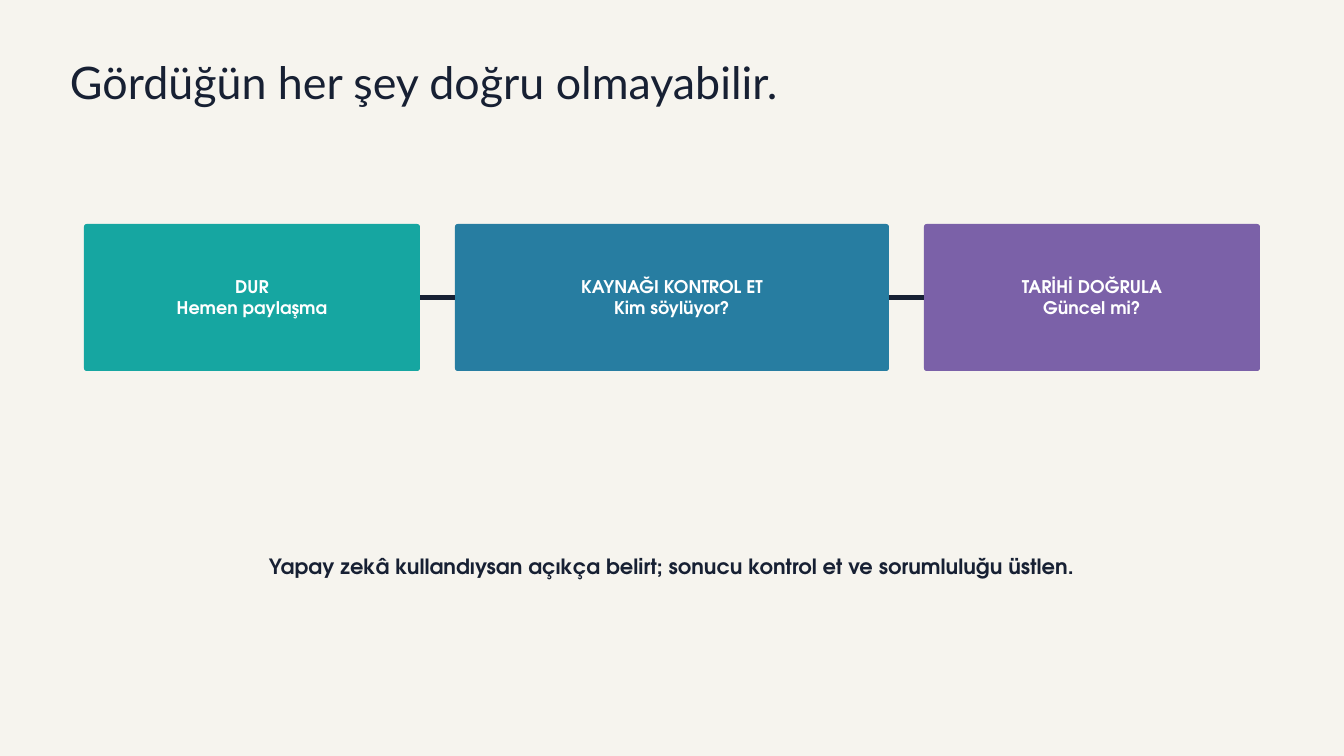
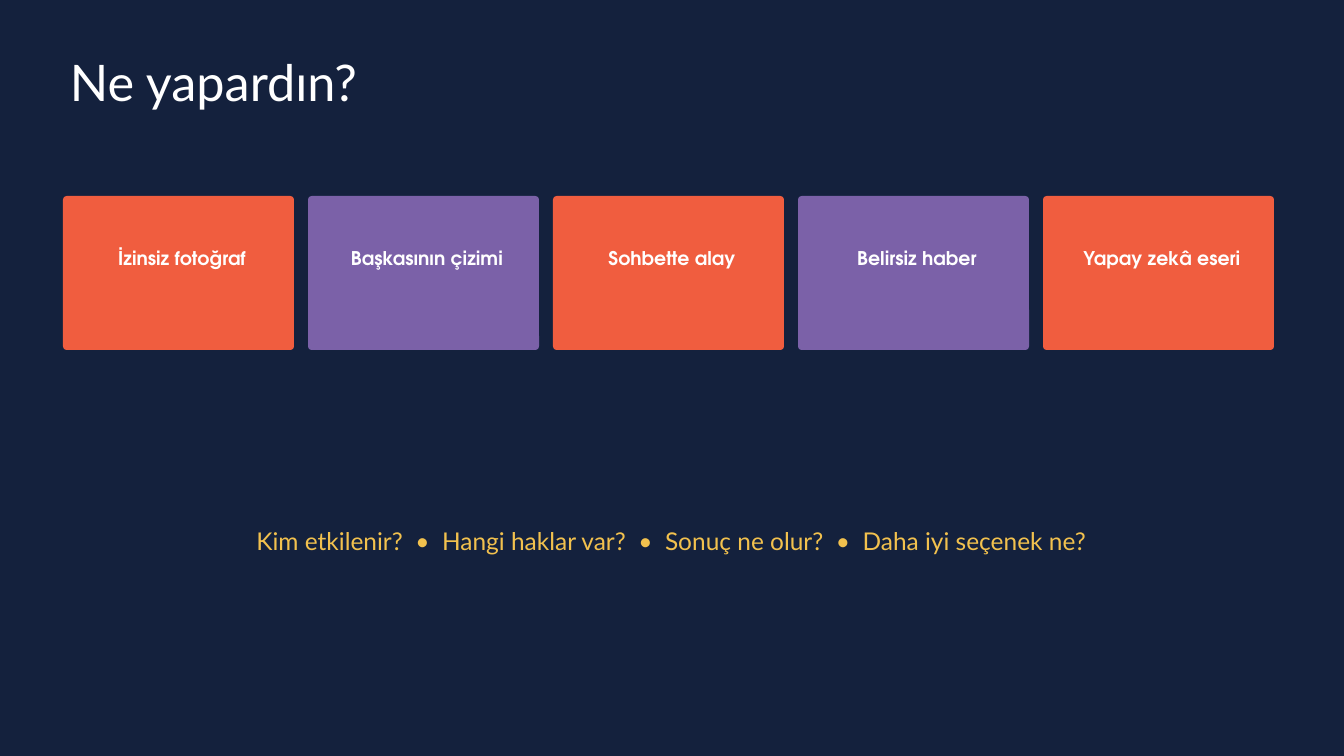
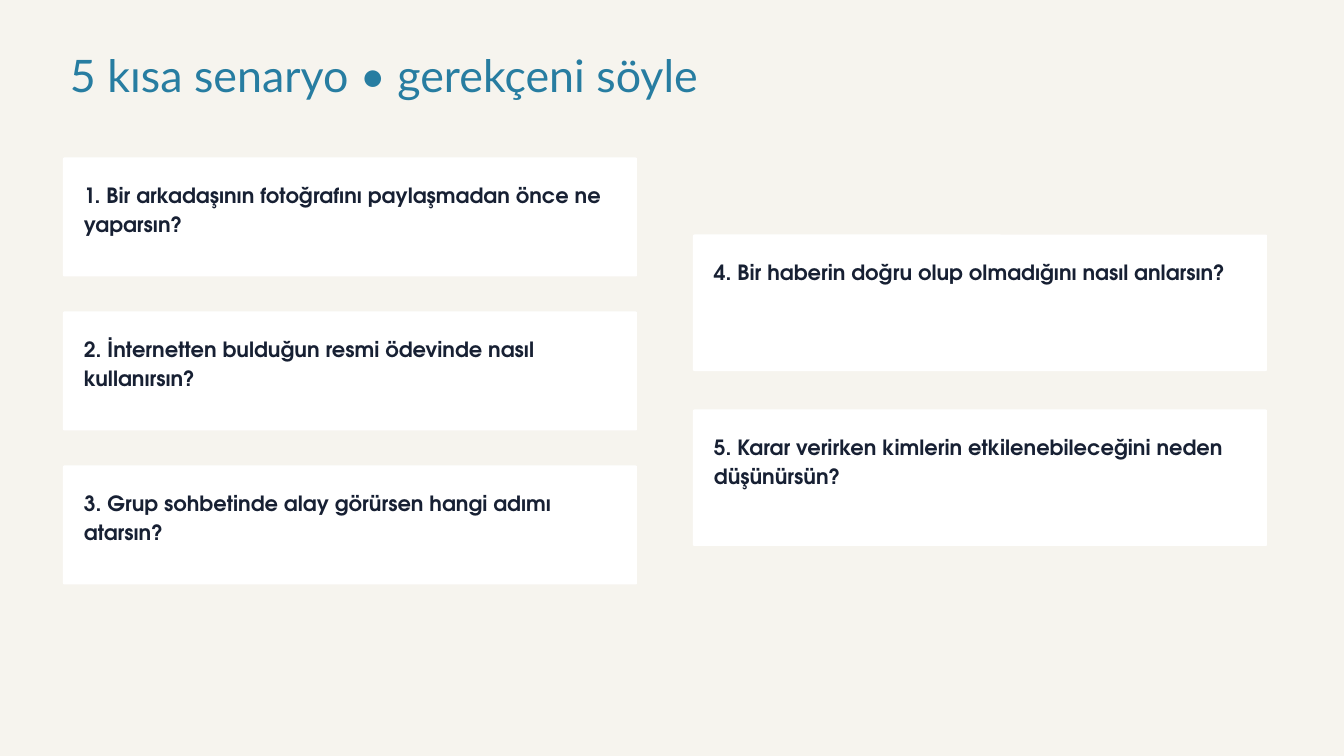
from lxml.etree import SubElement
from pptx import Presentation
from pptx.dml.color import RGBColor
from pptx.enum.shapes import MSO_CONNECTOR, MSO_SHAPE
from pptx.enum.text import MSO_ANCHOR, PP_ALIGN
from pptx.oxml.ns import qn
from pptx.util import Pt

CREAM = RGBColor(0xF6, 0xF4, 0xEE)
NAVY = RGBColor(0x14, 0x21, 0x3D)
INK = RGBColor(0x17, 0x20, 0x33)
WHITE = RGBColor(0xFF, 0xFF, 0xFF)
TEAL = RGBColor(0x16, 0xA6, 0xA1)
BLUE = RGBColor(0x27, 0x7D, 0xA1)
PURPLE = RGBColor(0x7B, 0x61, 0xA8)
CORAL = RGBColor(0xF0, 0x5D, 0x3F)
GOLD = RGBColor(0xF2, 0xC1, 0x4E)

LIGHT_FONT = "Lato"
BOLD_FONT = "TeX Gyre Adventor"
LEFT, CENTER = PP_ALIGN.LEFT, PP_ALIGN.CENTER


def write(shape, text, font_name, size, line, color, align,
          insets=(0, 0, 0, 0), anchor=MSO_ANCHOR.TOP):
    """Fill a shape with text; insets are left, top, right, bottom in points."""
    frame = shape.text_frame
    frame.word_wrap = True
    frame.vertical_anchor = anchor
    (frame.margin_left, frame.margin_top,
     frame.margin_right, frame.margin_bottom) = [Pt(inset) for inset in insets]
    frame.text = text
    for paragraph in frame.paragraphs:
        paragraph.alignment = align
        paragraph.line_spacing = Pt(line)
        for run in paragraph.runs:
            run.font.name = font_name
            run.font.size = Pt(size)
            run.font.bold = font_name == BOLD_FONT
            run.font.color.rgb = color


def add_card(slide, left, top, width, height, radius, fill):
    card = slide.shapes.add_shape(MSO_SHAPE.ROUNDED_RECTANGLE,
                                  Pt(left), Pt(top), Pt(width), Pt(height))
    card.adjustments[0] = radius / height
    card.shadow.inherit = False
    card.fill.solid()
    card.fill.fore_color.rgb = fill
    card.line.fill.background()
    return card


prs = Presentation()
prs.slide_width, prs.slide_height = Pt(1440), Pt(810)

# Backgrounds and titles: background, title, top, height, size, line, colour
openings = [
    (CREAM, "Gördüğün her şey doğru olmayabilir.", 64.5, 53.25, 48, 51.84, INK),
    (NAVY, "Ne yapardın?", 44, 72.75, 54, 75.6, WHITE),
    (CREAM, "5 kısa senaryo • gerekçeni söyle", 57, 53.25, 48, 51.84, BLUE),
]
slides = []
for background, title, top, height, size, line, color in openings:
    slide = prs.slides.add_slide(prs.slide_layouts[6])
    slide.background.fill.solid()
    slide.background.fill.fore_color.rgb = background
    title_box = slide.shapes.add_textbox(Pt(75), Pt(top), Pt(1125), Pt(height))
    write(title_box, title, LIGHT_FONT, size, line, color, LEFT)
    slides.append(slide)
check_slide, choice_slide, scenario_slide = slides

# Three checking steps joined by lines
steps = [
    ("DUR\nHemen paylaşma", 360, TEAL),
    ("KAYNAĞI KONTROL ET\nKim söylüyor?", 465, BLUE),
    ("TARİHİ DOĞRULA\nGüncel mi?", 360, PURPLE),
]
step_left, step_gap = 90, 37.5
step_cards = []
for text, width, fill in steps:
    card = add_card(check_slide, step_left, 240, width, 157.5, 3, fill)
    write(card, text, BOLD_FONT, 18.75, 21.6, WHITE, CENTER,
          (4.5, 4.5, 4.5, 4.5), MSO_ANCHOR.MIDDLE)
    step_cards.append(card)
    step_left += width + step_gap

for before, after in zip(step_cards, step_cards[1:]):
    link = check_slide.shapes.add_connector(MSO_CONNECTOR.STRAIGHT, 0, 0, 0, 0)
    link.begin_connect(before, 3)
    link.end_connect(after, 1)
    link.line.color.rgb = INK
    link.line.width = Pt(4.5)
    SubElement(link._element.spPr, qn("a:effectLst"))

reminder = check_slide.shapes.add_textbox(Pt(270), Pt(589.5), Pt(900), Pt(30))
write(reminder,
      "Yapay zekâ kullandıysan açıkça belirt; sonucu kontrol et ve sorumluluğu üstlen.",
      BOLD_FONT, 22.5, 30.38, INK, CENTER)

# Five situations in alternating colours
situations = ["İzinsiz fotoğraf", "Başkasının çizimi", "Sohbette alay",
              "Belirsiz haber", "Yapay zekâ eseri"]
for index, situation in enumerate(situations):
    card = add_card(choice_slide, 67.5 + 262.5 * index, 210, 247.5, 165, 4,
                    (CORAL, PURPLE)[index % 2])
    write(card, situation, BOLD_FONT, 20.25, 28.35, WHITE, CENTER,
          (14, 48.5, 6.5, 0))

questions = choice_slide.shapes.add_textbox(Pt(120), Pt(558), Pt(1200), Pt(36))
write(questions,
      "Kim etkilenir?  •  Hangi haklar var?  •  Sonuç ne olur?  •  Daha iyi seçenek ne?",
      LIGHT_FONT, 26.25, 36.75, GOLD, CENTER)

# Scenario columns: left, first top, card height, step, scenarios
columns = [
    (67.5, 168.75, 127.5, 165, [
        "1. Bir arkadaşının fotoğrafını paylaşmadan önce ne yaparsın?",
        "2. İnternetten bulduğun resmi ödevinde nasıl kullanırsın?",
        "3. Grup sohbetinde alay görürsen hangi adımı atarsın?",
    ]),
    (742.5, 251.25, 146.25, 187.5, [
        "4. Bir haberin doğru olup olmadığını nasıl anlarsın?",
        "5. Karar verirken kimlerin etkilenebileceğini neden düşünürsün?",
    ]),
]
for left, first_top, height, step, scenarios in columns:
    for row, scenario in enumerate(scenarios):
        card = add_card(scenario_slide, left, first_top + step * row,
                        615, height, 1.5, WHITE)
        write(card, scenario, BOLD_FONT, 22.5, 30.38, INK, LEFT,
              (22, 23.5, 22, 0))

prs.save("out.pptx")
